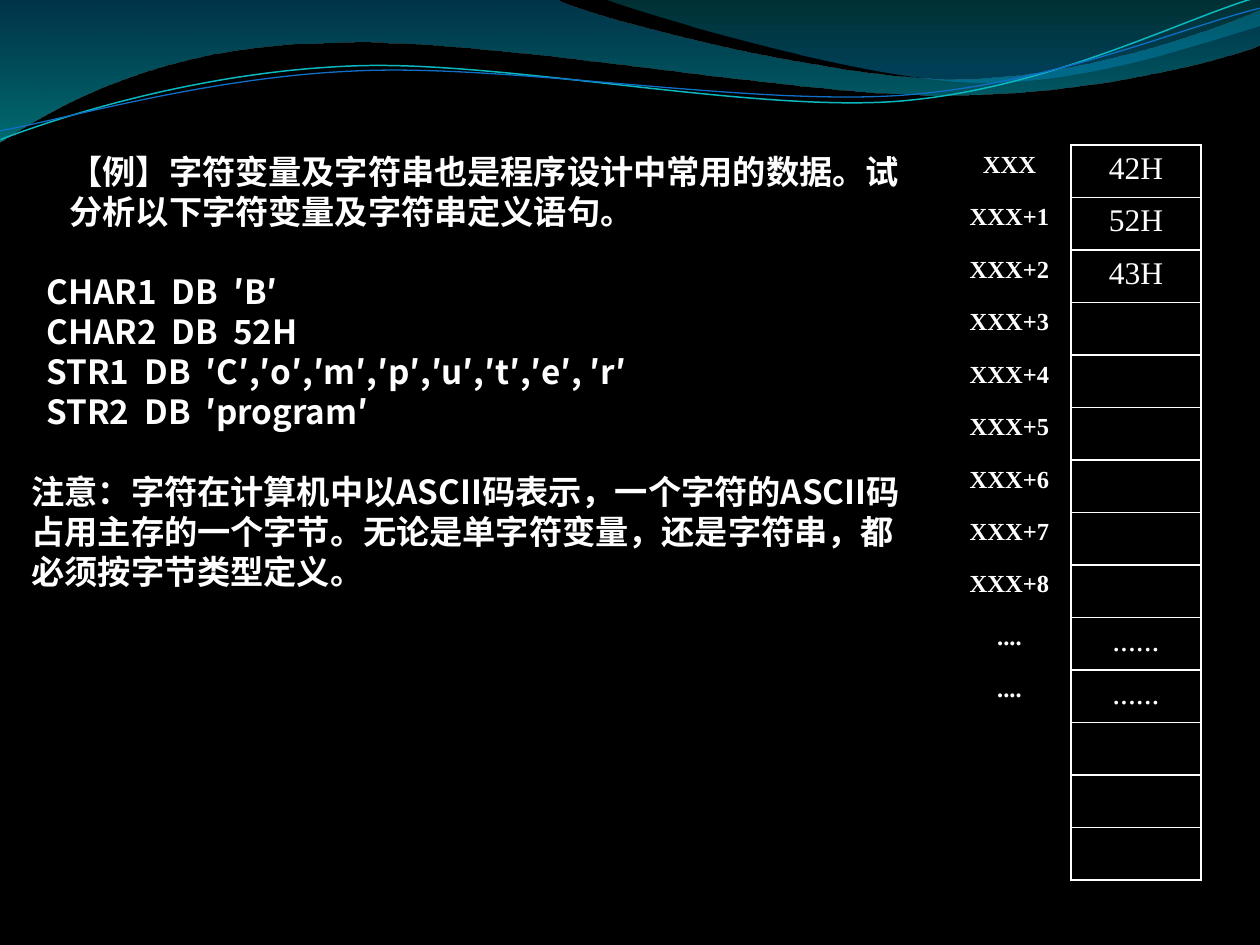
from lxml import etree
from pptx import Presentation
from pptx import util as u
from pptx.dml.color import RGBColor
from pptx.enum import text
from pptx.oxml import ns

PX = 914400 / 126
BLACK = RGBColor(0x00, 0x00, 0x00)
WHITE = RGBColor(0xFF, 0xFF, 0xFF)
BLUE = RGBColor(0x00, 0x74, 0xA1)
CYAN = RGBColor(0x00, 0xC6, 0xCF)
TEAL = RGBColor(0x00, 0xA1, 0xA9)
SKY = RGBColor(0x00, 0x8B, 0xBF)
AQUA_LINE = RGBColor(0x0A, 0xB8, 0xBF)
BLUE_LINE = RGBColor(0x0F, 0x6F, 0xC6)

SANS = "Noto Sans CJK SC"
SERIF = "Times New Roman"
NO_STYLE = "{2D5ABB26-0587-4C30-8999-92F81FD0307C}"
LINE_PITCH = u.Pt(22.85)
STRAND_TURN = 357.3

# A step of one point is a straight line; three points are a cubic curve.
BANDS = [
    ((0, 0),
     [[(554, -1)],
      [(600, 21), (837, 79), (955, 79)],
      [(1075, 79), (1207, 33), (1260, 11)],
      [(1261, 45)],
      [(1239, 55), (1096, 96), (940, 95)],
      [(784, 95), (481, 35), (324, 43)],
      [(163, 45), (58, 105), (-1, 142)]],
     [(0, BLUE, 45), (1, CYAN, 55)]),
    ((604, -1),
     [[(641, 14), (859, 78), (969, 82)],
      [(1079, 87), (1211, 40), (1260, 26)],
      [(1260, 0)]],
     [(0, TEAL, 30), (0.8, SKY, 45)]),
]
# Points before the strand is turned
STRANDS = [
    ((-2, 110),
     [[(58, 90), (199, 52), (350, 53)],
      [(499, 53), (745, 118), (896, 114)],
      [(1048, 109), (1184, 45), (1260, 27)]],
     AQUA_LINE, 0.85),
    ((-2, 101),
     [[(57, 94), (207, 57), (357, 58)],
      [(509, 58), (750, 112), (902, 108)],
      [(1052, 104), (1188, 52), (1262, 38)]],
     BLUE_LINE, 0.75),
]

# Text, left indent in px, gap of one line before
LINES = [
    ("【例】字符变量及字符串也是程序设计中常用的数据。试分析以下字符变量及字符串定义语句。", 38, False),
    ("CHAR1  DB  ′B′", 15, True),
    ("CHAR2  DB  52H", 15, False),
    ("STR1  DB  ′C′,′o′,′m′,′p′,′u′,′t′,′e′, ′r′", 15, False),
    ("STR2  DB  ′program′", 15, False),
    ("注意：字符在计算机中以ASCII码表示，一个字符的ASCII码占用主存的一个字节。"
     "无论是单字符变量，还是字符串，都必须按字节类型定义。", 0, True),
]

ROW_COUNT = 14
ADDRESSES = ["XXX"] + [f"XXX+{n}" for n in range(1, 9)] + ["....", "...."]
VALUES = {0: "42H", 1: "52H", 2: "43H", 9: "......", 10: "......"}


def px(length):
    return u.Emu(round(length * PX))


def set_values(target, values):
    for name, value in values.items():
        setattr(target, name, value)


def add_outline(page, start, steps, close):
    """Add a freeform through the steps' ends, then bend its curved steps."""
    builder = page.shapes.build_freeform(*start, scale=PX)
    builder.add_line_segments([step[-1] for step in steps], close=close)
    shape = builder.convert_to_shape()
    shape.shadow.inherit = False
    left = min(x for x, _ in [start] + [step[-1] for step in steps])
    top = min(y for _, y in [start] + [step[-1] for step in steps])
    segments = list(shape.element.spPr.iter(ns.qn("a:lnTo")))
    for segment, step in zip(segments, steps):
        if len(step) == 3:
            curve = etree.Element(ns.qn("a:cubicBezTo"))
            for x, y in step:
                etree.SubElement(curve, ns.qn("a:pt"), x=str(x - left), y=str(y - top))
            segment.getparent().replace(segment, curve)
    return shape


def add_band(page, start, steps, stops):
    """Add a closed wave with a see-through gradient from top to bottom."""
    shape = add_outline(page, start, steps, True)
    shape.line.fill.background()
    shape.fill.gradient()
    shape.fill.gradient_angle = 270
    for stop, (position, color, _) in zip(shape.fill.gradient_stops, stops):
        stop.position = position
        stop.color.rgb = color
    colors = shape.element.spPr.iter(ns.qn("a:srgbClr"))
    for color, (_, _, opacity) in zip(colors, stops):
        etree.SubElement(color, ns.qn("a:alpha"), val=str(opacity * 1000))


def add_strand(page, start, steps, color, width):
    shape = add_outline(page, start, steps, False)
    shape.rotation = STRAND_TURN
    shape.fill.background()
    shape.line.color.rgb = color
    shape.line.width = u.Pt(width)


def write(para, words, font_name, size, bold):
    span = para.add_run()
    span.text = words
    set_values(span.font, {"name": font_name, "size": u.Pt(size), "bold": bold})
    span.font.color.rgb = WHITE
    east_asian = etree.Element(ns.qn("a:ea"), typeface=font_name)
    span.font._element.find(ns.qn("a:latin")).addnext(east_asian)


def fill_body(box):
    set_values(box, {"left": px(19), "top": px(145),
                     "width": px(919), "height": px(605)})
    frame = box.text_frame
    set_values(frame, {"word_wrap": True, "auto_size": text.MSO_AUTO_SIZE.NONE,
                       "vertical_anchor": text.MSO_ANCHOR.TOP})
    for i, (words, indent, gap) in enumerate(LINES):
        para = frame.add_paragraph() if i else frame.paragraphs[0]
        properties = para._p.get_or_add_pPr()
        properties.set("marL", str(px(indent)))
        properties.set("indent", "0")
        etree.SubElement(properties, ns.qn("a:buNone"))
        set_values(para, {"alignment": text.PP_ALIGN.LEFT,
                          "line_spacing": LINE_PITCH,
                          "space_before": LINE_PITCH if gap else u.Pt(0),
                          "space_after": u.Pt(0)})
        write(para, words, SANS, 19, True)


def format_cell(cell, words, size, bold, sides):
    """Write a centred cell and draw white borders on the given sides."""
    properties = cell._tc.get_or_add_tcPr()
    for side in sides:
        border = etree.SubElement(properties, ns.qn(f"a:ln{side}"), w=str(u.Pt(1)))
        fill = etree.SubElement(border, ns.qn("a:solidFill"))
        etree.SubElement(fill, ns.qn("a:srgbClr"), val=str(WHITE))
    cell.fill.background()
    if words:
        para = cell.text_frame.paragraphs[0]
        para.alignment = text.PP_ALIGN.CENTER
        write(para, words, SERIF, size, bold)


def add_memory_table(page):
    frame = page.shapes.add_table(ROW_COUNT, 2, px(948), px(145), px(253), px(735))
    table = frame.table
    set_values(table, {"first_row": False, "horz_banding": False})
    table._tbl.tblPr.find(ns.qn("a:tableStyleId")).text = NO_STYLE
    for column, width in zip(table.columns, (123, 130)):
        column.width = px(width)
    for i in range(ROW_COUNT):
        address = ADDRESSES[i] if i < len(ADDRESSES) else ""
        format_cell(table.cell(i, 0), address, 14, True, "R")
        format_cell(table.cell(i, 1), VALUES.get(i, ""), 18, False, "LRTB")


def main():
    deck = Presentation()
    set_values(deck, {"slide_width": px(1260), "slide_height": px(945)})
    page = deck.slides.add_slide(deck.slide_layouts[1])
    page.background.fill.solid()
    page.background.fill.fore_color.rgb = BLACK
    title = page.shapes.title.element
    title.getparent().remove(title)
    body = page.placeholders[1]
    for band in BANDS:
        add_band(page, *band)
    for strand in STRANDS:
        add_strand(page, *strand)
    page.shapes.element.append(body.element)
    fill_body(body)
    add_memory_table(page)
    deck.save("out.pptx")


if __name__ == "__main__":
    main()
